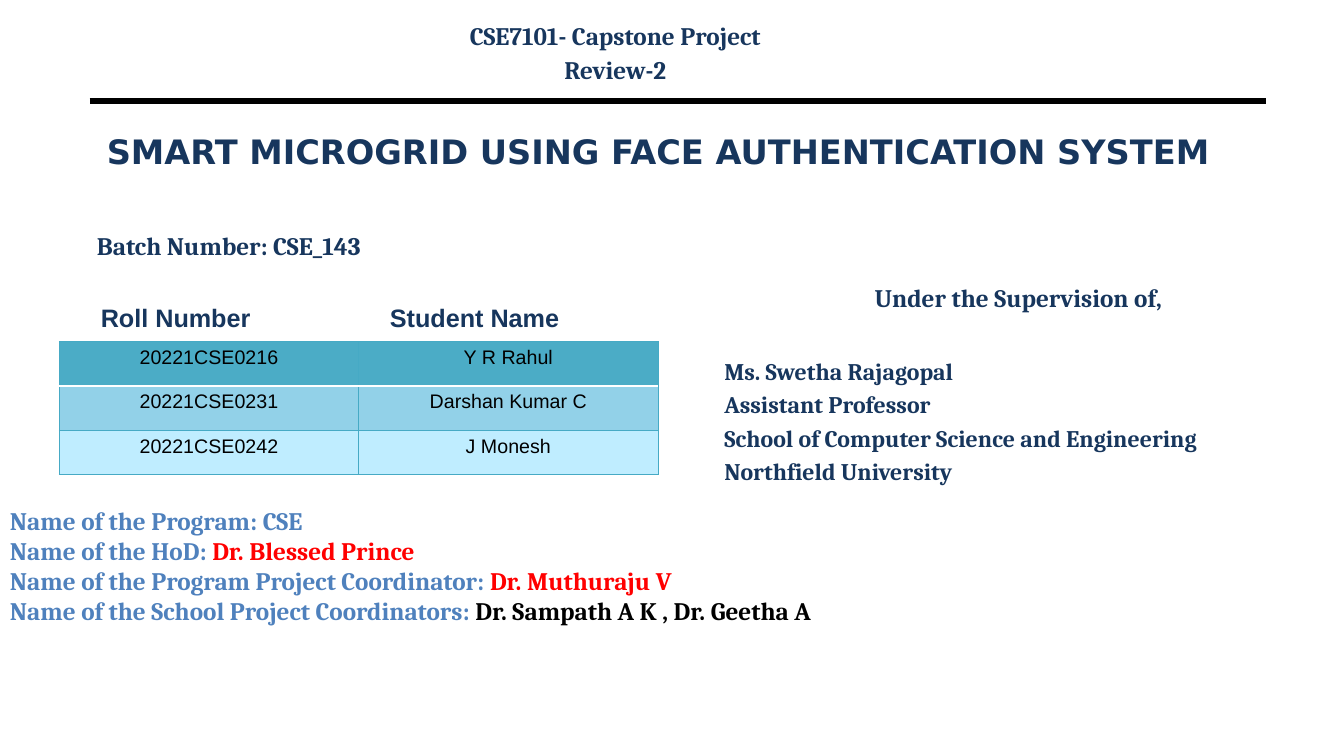
import pptx
import pptx.util
import pptx.dml.color
import pptx.enum.shapes
import pptx.enum.text
import pptx.oxml
import pptx.oxml.ns

Pt = pptx.util.Pt
RGBColor = pptx.dml.color.RGBColor
ALIGN = pptx.enum.text.PP_ALIGN
NAVY = RGBColor(0x17, 0x36, 0x5D)
BLUE = RGBColor(0x4F, 0x81, 0xBD)
RED = RGBColor(0xFF, 0x00, 0x00)
BLACK = RGBColor(0x00, 0x00, 0x00)
WHITE = RGBColor(0xFF, 0xFF, 0xFF)
BORDER = RGBColor(0x46, 0xAA, 0xC5)
ROW_FILLS = [RGBColor(0x4B, 0xAC, 0xC6), RGBColor(0x92, 0xD1, 0xE8), RGBColor(0xBF, 0xED, 0xFF)]


def fill_frame(frame, lines, size, color, font="Cambria", bold=True, align=ALIGN.LEFT):
    """Write one paragraph per line, all in the same style."""
    frame.word_wrap = True
    frame.text = "\n".join(lines)
    for para in frame.paragraphs:
        para.alignment = align
        for span in para.runs:
            span.font.size = Pt(size)
            span.font.name = font
            span.font.bold = bold
            span.font.color.rgb = color


def add_plain_table(left, top, widths, row_height, row_count):
    """Add a table without header row or banding from its style."""
    frame = page.shapes.add_table(row_count, len(widths), Pt(left), Pt(top),
                                  Pt(sum(widths)), Pt(row_height * row_count))
    table = frame.table
    table.first_row = table.horz_banding = False
    for column, width in zip(table.columns, widths):
        column.width = Pt(width)
    return table


deck = pptx.Presentation()
deck.slide_width, deck.slide_height = Pt(960), Pt(540)
page = deck.slides.add_slide(deck.slide_layouts[6])

# Rule under the heading
rule = page.shapes.add_connector(pptx.enum.shapes.MSO_CONNECTOR.STRAIGHT,
                                 Pt(64), Pt(72), Pt(904.3), Pt(72))
rule.line.color.rgb = BLACK
rule.line.width = Pt(4.5)
rule._element.spPr.append(pptx.oxml.parse_xml(
    f'<a:effectLst {pptx.oxml.ns.nsdecls("a")}/>'))

# Title and batch
title = page.shapes.add_textbox(Pt(62.2), Pt(84.2), Pt(815.8), Pt(75.6)).text_frame
title.margin_top = Pt(9.4)
fill_frame(title, ["SMART MICROGRID USING FACE AUTHENTICATION SYSTEM"], 24, NAVY,
           font="DejaVu Sans", align=ALIGN.CENTER)
batch = page.shapes.add_textbox(Pt(62.2), Pt(161.3), Pt(345.6), Pt(43.2)).text_frame
fill_frame(batch, ["Batch Number: CSE_143"], 18, NAVY)

# Supervisor
supervisor = page.shapes.add_textbox(Pt(510.3), Pt(198), Pt(434.2), Pt(159.1)).text_frame
fill_frame(supervisor, ["Under the Supervision of,", "Ms. Swetha Rajagopal", "Assistant Professor",
                        "School of Computer Science and Engineering", "Northfield University"],
           17, NAVY)
caption, name, *details = supervisor.paragraphs
caption.alignment = ALIGN.CENTER
caption.runs[0].font.size = Pt(18)
name.space_before = Pt(31.6)
for para in details:
    para.space_before = Pt(3.4)

# Column captions in the first row of an open grid behind the student table
captions = add_plain_table(43.4, 214.6, [164.2, 262.8], 24, 6)
for cell in captions.iter_cells():
    cell.fill.background()
for cell, text in zip(captions.rows[0].cells, ["Roll Number", "Student Name"]):
    fill_frame(cell.text_frame, [text], 18, NAVY, font="Arial", align=ALIGN.CENTER)
    cell.vertical_anchor = pptx.enum.text.MSO_ANCHOR.MIDDLE
    cell.margin_top = Pt(2.2)

# Course heading
heading = page.shapes.add_textbox(Pt(223.2), Pt(10.8), Pt(432.7), Pt(57.6)).text_frame
fill_frame(heading, ["CSE7101- Capstone Project", "Review-2"], 18, NAVY, align=ALIGN.CENTER)
heading.paragraphs[1].space_before = Pt(3.1)

# Programme staff
STAFF = [
    ("Name of the Program: CSE", "", BLUE),
    ("Name of the HoD: ", "Dr. Blessed Prince", RED),
    ("Name of the Program Project Coordinator: ", "Dr. Muthuraju V", RED),
    ("Name of the School Project Coordinators: ", "Dr. Sampath A K , Dr. Geetha A", BLACK),
]
staff = page.shapes.add_textbox(Pt(0), Pt(357.1), Pt(964.8), Pt(123.1)).text_frame
fill_frame(staff, [role for role, person, color in STAFF], 18, BLUE)
for para, (role, person, color) in zip(staff.paragraphs, STAFF):
    if person:
        span = para.add_run()
        span.text = person
        span.font.size = Pt(18)
        span.font.name = "Cambria"
        span.font.bold = True
        span.font.color.rgb = color

# Students
STUDENTS = [("20221CSE0216", "Y R Rahul"), ("20221CSE0231", "Darshan Kumar C"),
            ("20221CSE0242", "J Monesh")]
students = add_plain_table(42.4, 244.1, [213.8, 213.8], 31.7, len(STUDENTS))
for index, student in enumerate(STUDENTS):
    for cell, text in zip(students.rows[index].cells, student):
        fill_frame(cell.text_frame, [text], 14, BLACK, font="Arial", bold=False, align=ALIGN.CENTER)
        for side in "LRTB":
            divider = (index, side) in [(0, "B"), (1, "T")]
            color, width = (WHITE, 2) if divider else (BORDER, 0.75)
            cell._tc.get_or_add_tcPr().append(pptx.oxml.parse_xml(
                f'<a:ln{side} {pptx.oxml.ns.nsdecls("a")} w="{Pt(width)}">'
                f'<a:solidFill><a:srgbClr val="{color}"/></a:solidFill></a:ln{side}>'))
        cell.fill.solid()
        cell.fill.fore_color.rgb = ROW_FILLS[index]

deck.save("out.pptx")
